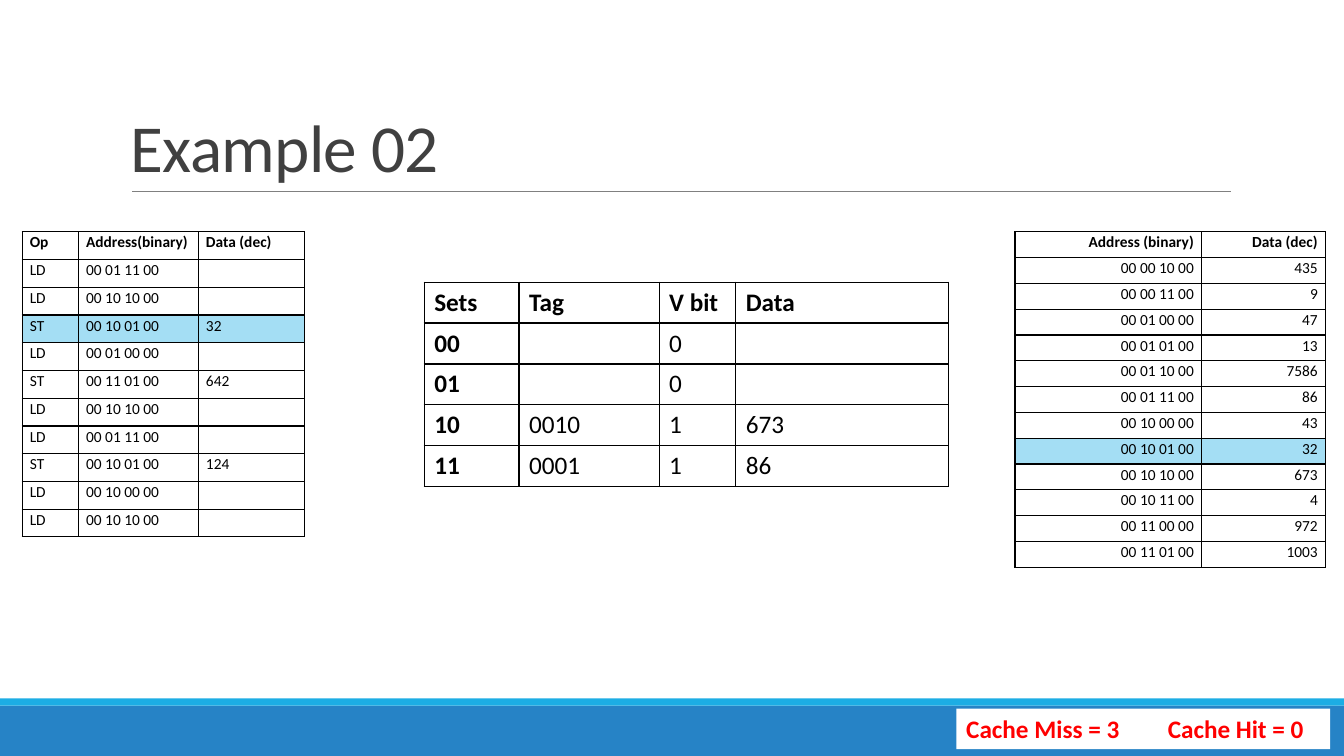
from dataclasses import dataclass

from lxml import etree
from pptx import Presentation
from pptx.dml.color import RGBColor
from pptx.enum import shapes, text
from pptx.oxml import ns
from pptx.util import Cm, Pt


@dataclass(frozen=True)
class Theme:
    font: str = "Calibri"
    ink: str = "000000"
    title_ink: str = "404040"
    rule: str = "808080"
    band: str = "2683C6"
    stripe: str = "1CADE4"
    highlight: str = "A4DEF4"
    paper: str = "FFFFFF"
    alert: str = "FF0000"
    title_size: int = 48
    body_size: int = 18
    small_size: int = 11


THEME = Theme()

OPERATIONS = [
    ("Op", "Address(binary)", "Data (dec)"),
    ("LD", "00 01 11 00", ""),
    ("LD", "00 10 10 00", ""),
    ("ST", "00 10 01 00", "32"),
    ("LD", "00 01 00 00", ""),
    ("ST", "00 11 01 00", "642"),
    ("LD", "00 10 10 00", ""),
    ("LD", "00 01 11 00", ""),
    ("ST", "00 10 01 00", "124"),
    ("LD", "00 10 00 00", ""),
    ("LD", "00 10 10 00", ""),
]
MEMORY = [
    ("Address (binary)", "Data (dec)"),
    ("00 00 10 00", "435"),
    ("00 00 11 00", "9"),
    ("00 01 00 00", "47"),
    ("00 01 01 00", "13"),
    ("00 01 10 00", "7586"),
    ("00 01 11 00", "86"),
    ("00 10 00 00", "43"),
    ("00 10 01 00", "32"),
    ("00 10 10 00", "673"),
    ("00 10 11 00", "4"),
    ("00 11 00 00", "972"),
    ("00 11 01 00", "1003"),
]
CACHE = [
    ("Sets", "Tag", "V bit", "Data"),
    ("00", "", "0", ""),
    ("01", "", "0", ""),
    ("10", "0010", "1", "673"),
    ("11", "0001", "1", "86"),
]


def color(value):
    return RGBColor.from_string(value)


def style_font(font, size, ink, bold=False):
    font.name = THEME.font
    font.size = Pt(size)
    font.bold = bold
    font.color.rgb = color(ink)


def add_bar(slide, left, top, width, height, fill):
    shape = slide.shapes.add_shape(
        shapes.MSO_SHAPE.RECTANGLE, Cm(left), Cm(top), Cm(width), Cm(height))
    shape.shadow.inherit = False
    shape.fill.solid()
    shape.fill.fore_color.rgb = color(fill)
    shape.line.fill.background()
    return shape


def add_rule(slide, left, right, top):
    connector = slide.shapes.add_connector(
        shapes.MSO_CONNECTOR.STRAIGHT, Cm(left), Cm(top), Cm(right), Cm(top))
    connector.line.color.rgb = color(THEME.rule)
    connector.line.width = Pt(0.5)
    etree.SubElement(connector._element.spPr, ns.qn("a:effectLst"))


def add_title(slide, words):
    box = slide.shapes.add_textbox(Cm(3.05), Cm(0.79), Cm(27.94), Cm(4.04))
    frame = box.text_frame
    frame.word_wrap = True
    frame.vertical_anchor = text.MSO_ANCHOR.BOTTOM
    paragraph = frame.paragraphs[0]
    paragraph.line_spacing = 0.85
    run = paragraph.add_run()
    run.text = words
    style_font(paragraph.font, THEME.title_size, THEME.title_ink)
    run._r.get_or_add_rPr().set("spc", "-50")


def add_score(slide, words):
    shape = add_bar(slide, 24.1, 17.86, 9.42, 1.02, THEME.paper)
    frame = shape.text_frame
    frame.word_wrap = True
    frame.vertical_anchor = text.MSO_ANCHOR.TOP
    paragraph = frame.paragraphs[0]
    paragraph.text = words
    paragraph.alignment = text.PP_ALIGN.LEFT
    style_font(paragraph.font, THEME.body_size, THEME.alert, True)


def border_cell(cell):
    properties = cell._tc.get_or_add_tcPr()
    for index, side in enumerate(("lnL", "lnR", "lnT", "lnB")):
        line = etree.Element(ns.qn(f"a:{side}"), w=str(Pt(1)))
        fill = etree.SubElement(line, ns.qn("a:solidFill"))
        etree.SubElement(fill, ns.qn("a:srgbClr"), val=THEME.ink)
        properties.insert(index, line)


def fill_cell(cell, words, size, bold, align, highlighted):
    paragraph = cell.text_frame.paragraphs[0]
    paragraph.alignment = align
    if words:
        paragraph.text = words
    else:
        etree.SubElement(paragraph._p, ns.qn("a:endParaRPr"), sz=str(size * 100))
    style_font(paragraph.font, size, THEME.ink, bold)
    if highlighted:
        cell.fill.solid()
        cell.fill.fore_color.rgb = color(THEME.highlight)
    else:
        cell.fill.background()
    border_cell(cell)


def add_grid(slide, rows, left, top, widths, row_height, size, compact=True,
             align=text.PP_ALIGN.LEFT, highlighted_row=None, bold_first_column=False):
    frame = slide.shapes.add_table(
        len(rows), len(widths), Cm(left), Cm(top),
        Cm(sum(widths)), Cm(row_height * len(rows)))
    table = frame.table
    table.horz_banding = False
    table.first_row = False
    for column, width in zip(table.columns, widths):
        column.width = Cm(width)
    for row_index, values in enumerate(rows):
        table.rows[row_index].height = Cm(row_height)
        for column_index, words in enumerate(values):
            cell = table.cell(row_index, column_index)
            bold = row_index == 0 or (bold_first_column and column_index == 0)
            if compact:
                cell.margin_left = cell.margin_right = Cm(0.19)
                cell.margin_top = cell.margin_bottom = Cm(0)
                cell.text_frame.paragraphs[0].line_spacing = 1.07
            fill_cell(cell, words, size, bold, align, row_index == highlighted_row)


def main():
    presentation = Presentation()
    presentation.slide_width = Cm(33.87)
    presentation.slide_height = Cm(19.05)
    slide = presentation.slides.add_slide(presentation.slide_layouts[6])

    add_bar(slide, 0, 17.78, 33.87, 1.27, THEME.band)
    add_bar(slide, 0, 17.6, 33.87, 0.18, THEME.stripe)
    add_rule(slide, 3.33, 31.01, 4.83)
    add_title(slide, "Example 02")
    add_grid(slide, OPERATIONS, 0.56, 5.84, (1.42, 3.02, 2.67), 0.7,
             THEME.small_size, highlighted_row=3)
    add_grid(slide, MEMORY, 25.58, 5.84, (4.7, 3.12), 0.65,
             THEME.small_size, align=text.PP_ALIGN.RIGHT, highlighted_row=8)
    add_grid(slide, CACHE, 10.69, 7.11, (2.39, 3.53, 1.93, 5.36), 1.03,
             THEME.body_size, compact=False, bold_first_column=True)
    add_score(slide, "Cache Miss = 3\tCache Hit = 0")
    presentation.save("out.pptx")


if __name__ == "__main__":
    main()
